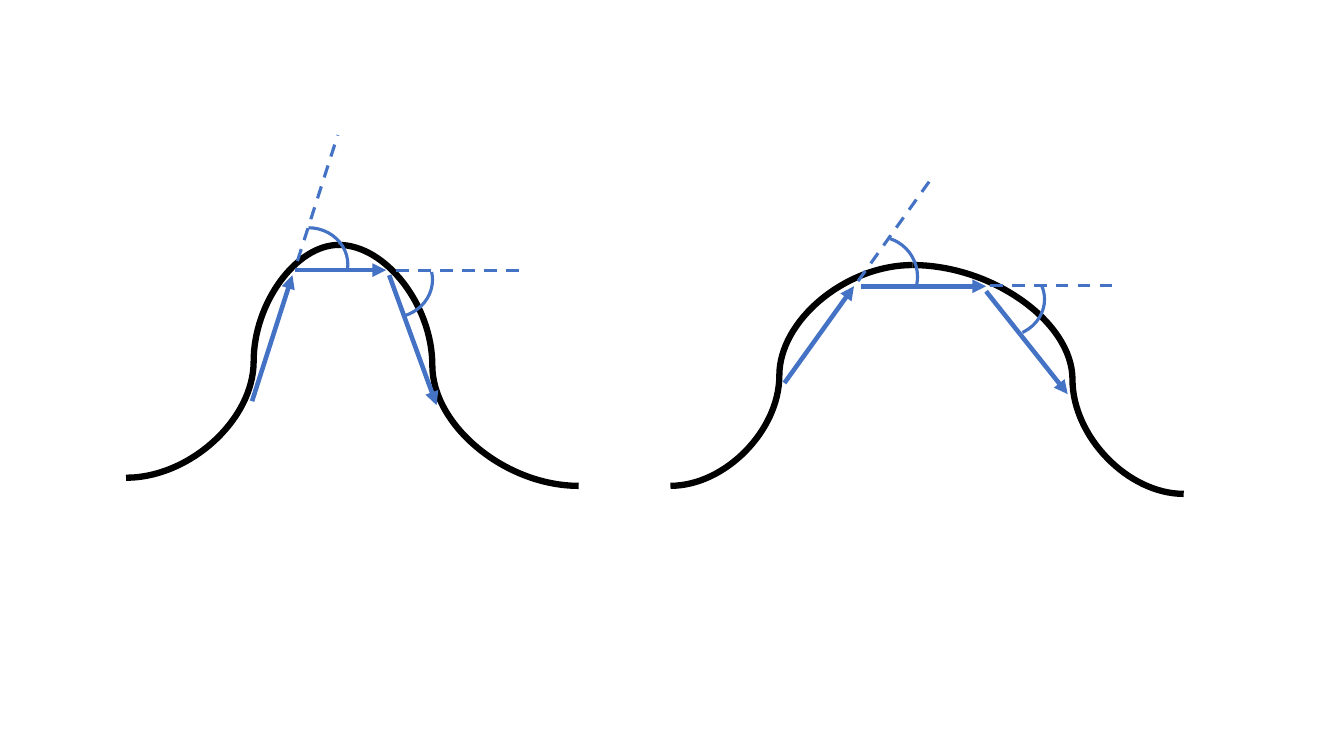
from lxml.etree import SubElement
from pptx import Presentation
from pptx.dml.color import RGBColor
from pptx.enum.dml import MSO_LINE
from pptx.enum.shapes import MSO_CONNECTOR, MSO_SHAPE
from pptx.oxml.ns import qn
from pptx.util import Inches, Pt

BLACK = RGBColor(0x00, 0x00, 0x00)
BLUE = RGBColor(0x44, 0x72, 0xC4)

# Lines: x1, y1, x2, y2. Curves add the bend, as a share of the width.
# Arcs: left, top, width, height, start and end in degrees.
WIDE = {
    "curves": [(6.65, 4.82, 9.05, 2.63, 0.45), (9.05, 2.63, 11.74, 4.9, 0.59)],
    "arrows": [(7.78, 3.8, 8.47, 2.84), (8.54, 2.84, 9.78, 2.84),
               (9.78, 2.89, 10.59, 3.91)],
    "dashes": [(8.51, 2.79, 9.26, 1.74), (9.82, 2.83, 11.06, 2.83)],
    "arcs": [(8.32, 2.35, 0.78, 0.79, 287.52, 10.63),
             (9.55, 2.6, 0.81, 0.74, 339.33, 60.62)],
}
STEEP = {
    "curves": [(1.25, 4.74, 3.36, 2.43, 0.6), (3.36, 2.43, 5.74, 4.82, 0.39)],
    "arrows": [(2.5, 3.98, 2.9, 2.73), (2.93, 2.68, 3.83, 2.68),
               (3.86, 2.73, 4.33, 4.02)],
    "dashes": [(2.95, 2.59, 3.35, 1.34), (3.93, 2.68, 5.15, 2.68)],
    "arcs": [(3.49, 2.4, 0.8, 0.75, 348.89, 69.22),
             (2.67, 2.26, 0.78, 0.73, 270, 6.47)],
}


def add_line(group, ends, color=BLUE, width=2.25, kind=MSO_CONNECTOR.STRAIGHT,
             bend=None, dash=None, arrow=False):
    line = group.shapes.add_connector(kind, *map(Inches, ends))
    line.line.color.rgb = color
    line.line.width = Pt(width)
    if dash:
        line.line.dash_style = dash
    props = line._element.spPr
    if arrow:
        SubElement(props.find(qn("a:ln")), qn("a:tailEnd"), type="triangle")
    if bend is not None:
        geom = props.find(qn("a:prstGeom"))
        guides = geom.find(qn("a:avLst"))
        if guides is None:
            guides = SubElement(geom, qn("a:avLst"))
        SubElement(guides, qn("a:gd"), name="adj1",
                   fmla=f"val {round(bend * 100000)}")
    SubElement(props, qn("a:effectLst"))


def add_arc(group, box, start, end):
    arc = group.shapes.add_shape(MSO_SHAPE.ARC, *map(Inches, box))
    # Angles count in 60000ths of a degree, adjustments in 100000ths.
    arc.adjustments[0] = start * 0.6
    arc.adjustments[1] = end * 0.6
    arc.fill.background()
    arc.line.color.rgb = BLUE
    arc.line.width = Pt(2.25)
    arc.shadow.inherit = False


def add_hill(slide, hill):
    group = slide.shapes.add_group_shape()
    for *ends, bend in hill["curves"]:
        add_line(group, ends, BLACK, 4.5, MSO_CONNECTOR.CURVE, bend)
    for ends in hill["arrows"]:
        add_line(group, ends, width=3.25, arrow=True)
    for ends in hill["dashes"]:
        add_line(group, ends, dash=MSO_LINE.DASH)
    for *box, start, end in hill["arcs"]:
        add_arc(group, box, start, end)


def main():
    deck = Presentation()
    deck.slide_width, deck.slide_height = Inches(13.33), Inches(7.5)
    slide = deck.slides.add_slide(deck.slide_layouts[6])
    for hill in (WIDE, STEEP):
        add_hill(slide, hill)
    deck.save("out.pptx")


if __name__ == "__main__":
    main()
